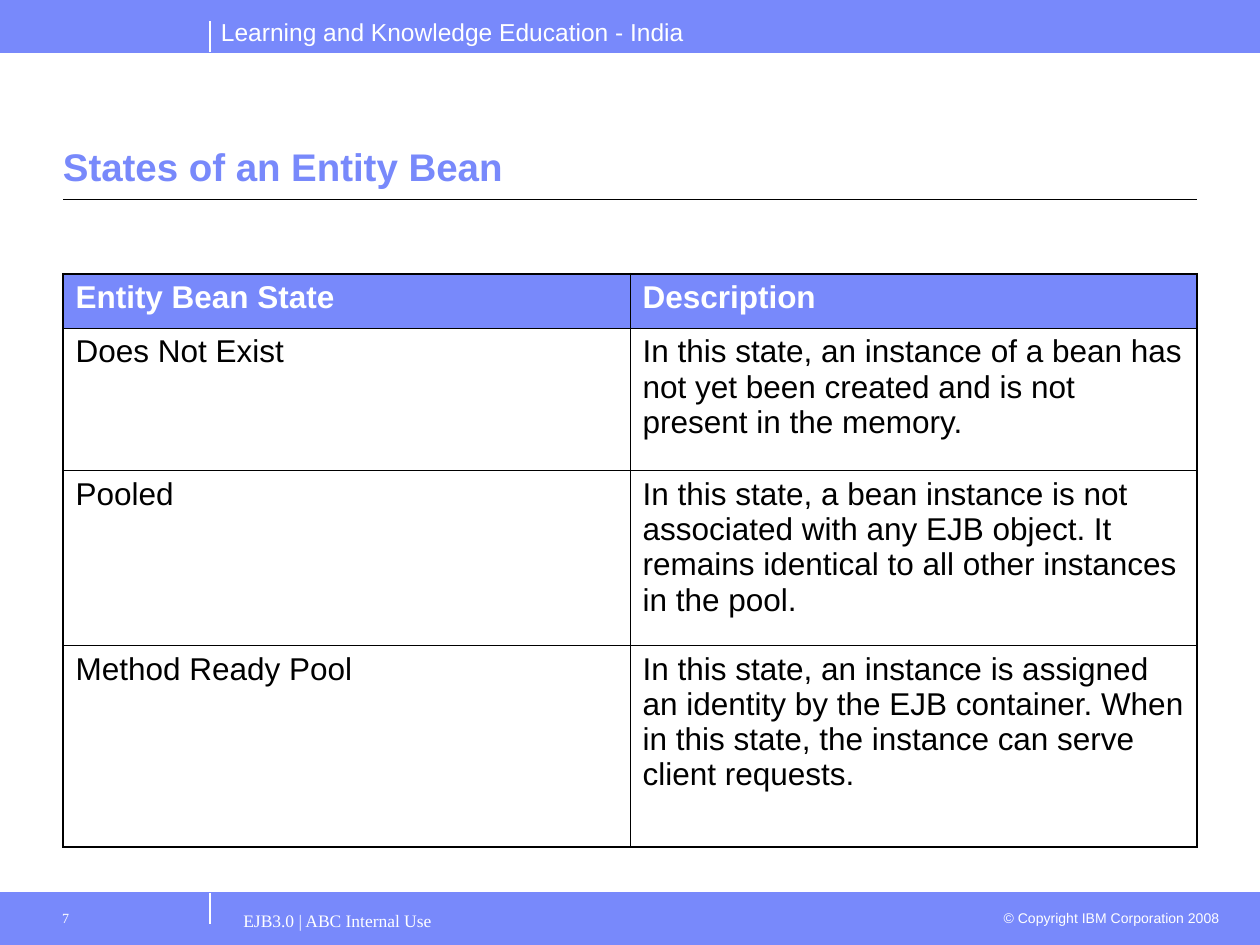
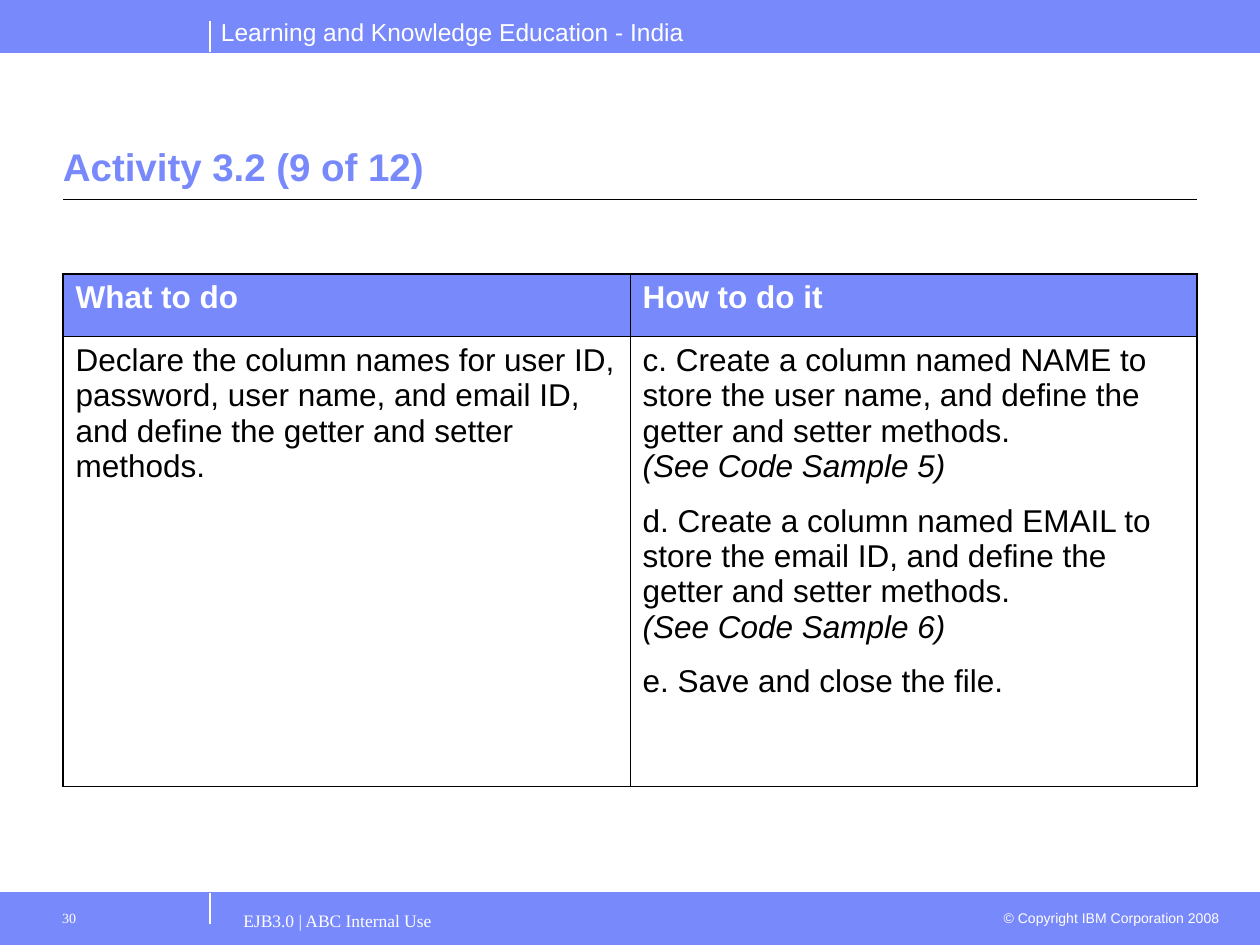
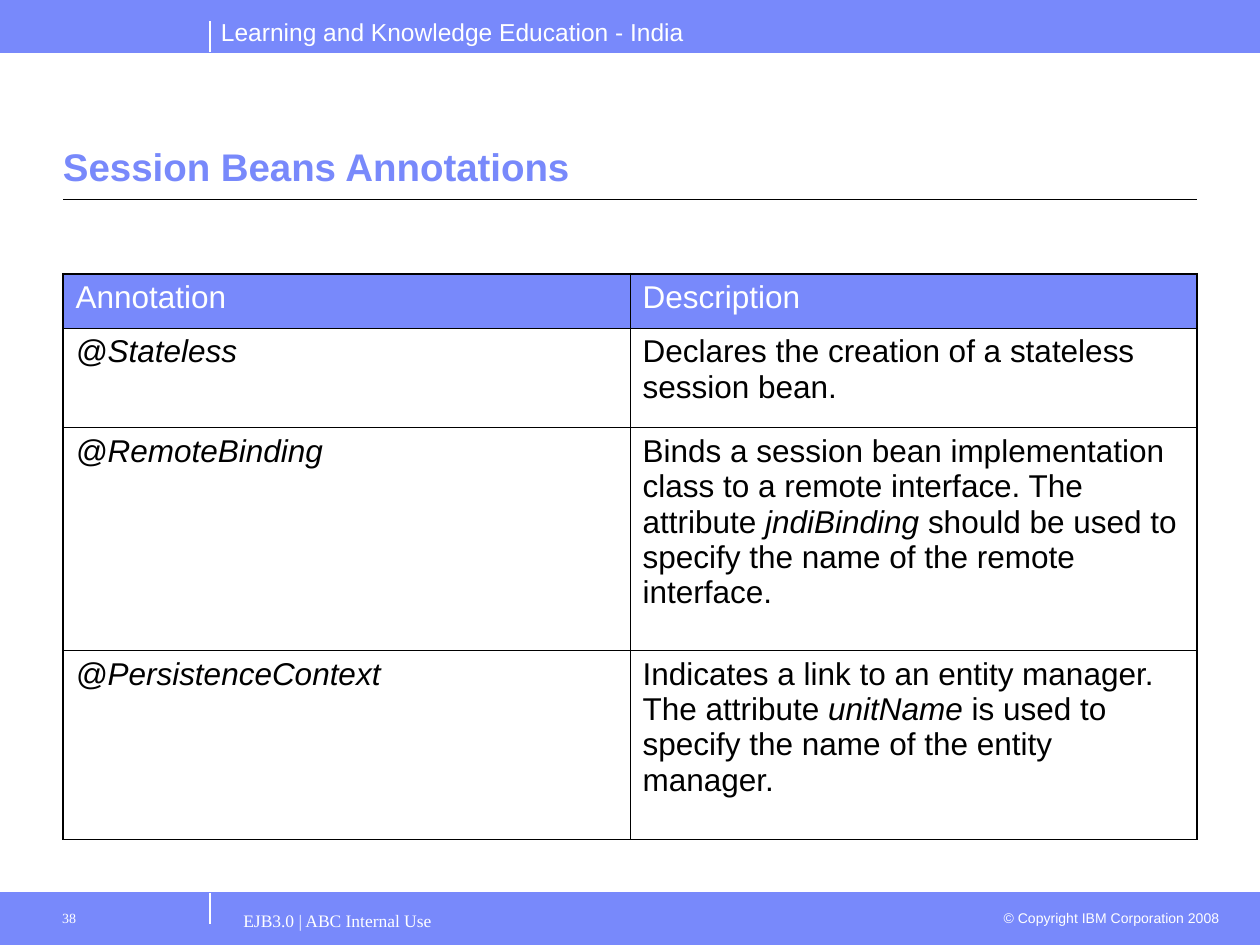
"""Build three training slides, each with a titled two-column table."""
from lxml import etree
from pptx import Presentation
from pptx.dml.color import RGBColor
from pptx.enum.shapes import MSO_CONNECTOR, MSO_SHAPE
from pptx.enum.text import MSO_ANCHOR, PP_ALIGN
from pptx.oxml import parse_xml
from pptx.oxml.ns import nsdecls, qn
from pptx.util import Pt

STRAIGHT = MSO_CONNECTOR.STRAIGHT
RECTANGLE = MSO_SHAPE.RECTANGLE
TOP, BOTTOM = MSO_ANCHOR.TOP, MSO_ANCHOR.BOTTOM
LEFT, RIGHT = PP_ALIGN.LEFT, PP_ALIGN.RIGHT

BLUE = RGBColor(0x78, 0x89, 0xFB)
WHITE = RGBColor(0xFF, 0xFF, 0xFF)
BLACK = RGBColor(0, 0, 0)
SANS, SERIF = "Arial", "Times New Roman"

HEADER = "Learning and Knowledge Education - India"
FOOTER = "EJB3.0 | ABC Internal Use"
COPYRIGHT = "© Copyright IBM Corporation 2008"

# Asterisks enclose italic text; a newline is a line break within a paragraph.
SLIDES = [
    {
        "number": 7,
        "title": "States of an Entity Bean",
        "bold_head": True,
        "heights": [31, 81.4, 100, 115.2],
        "rows": [
            (["Entity Bean State"], ["Description"]),
            (["Does Not Exist"],
             ["In this state, an instance of a bean has not yet been created "
              "and is not present in the memory."]),
            (["Pooled"],
             ["In this state, a bean instance is not associated with any EJB "
              "object. It remains identical to all other instances in the pool."]),
            (["Method Ready Pool"],
             ["In this state, an instance is assigned an identity by the EJB "
              "container. When in this state, the instance can serve client "
              "requests."]),
        ],
    },
    {
        "number": 30,
        "title": "Activity 3.2 (9 of 12)",
        "bold_head": True,
        "heights": [36, 257],
        "rows": [
            (["What to do"], ["How to do it"]),
            (["Declare the column names for user ID, password, user name, and "
              "email ID, and define the getter and setter methods."],
             ["c. Create a column named NAME to store the user name, and define "
              "the getter and setter methods.\n*(See Code Sample 5)*",
              "d. Create a column named EMAIL to store the email ID, and define "
              "the getter and setter methods.\n*(See Code Sample 6)*",
              "e. Save and close the file."]),
        ],
    },
    {
        "number": 38,
        "title": "Session Beans Annotations",
        "bold_head": False,
        "heights": [31, 57, 127.4, 108],
        "rows": [
            (["Annotation"], ["Description"]),
            (["*@Stateless*"],
             ["Declares the creation of a stateless session bean."]),
            (["*@RemoteBinding*"],
             ["Binds a session bean implementation class to a remote interface. "
              "The attribute *jndiBinding* should be used to specify the name of "
              "the remote interface."]),
            (["*@PersistenceContext*"],
             ["Indicates a link to an entity manager. The attribute *unitName* is "
              "used to specify the name of the entity manager."]),
        ],
    },
]

WIDTH, HEIGHT = 720, 540
BAND = 30
FOOT_TOP = HEIGHT - BAND
MARGIN = 36
TICK_X, TICK = 120, 18
RULE_Y = 114
TABLE_TOP = 156.4
COLUMN = (WIDTH - 2 * MARGIN) / 2
OUTER, INNER = 1.08, 0.45


def style(font, size, color, name=SANS, bold=False, italic=False):
    font.name, font.size, font.bold, font.italic = name, Pt(size), bold, italic
    font.color.rgb = color


def add_band(s, top):
    sp = s.shapes.add_shape(RECTANGLE, 0, Pt(top), Pt(WIDTH), Pt(BAND))
    sp.shadow.inherit = False
    sp.fill.solid()
    sp.fill.fore_color.rgb = BLUE
    sp.line.color.rgb = BLUE
    sp.line.width = Pt(0.75)


def add_line(s, x1, y1, x2, y2, color, width=0.75):
    line = s.shapes.add_connector(STRAIGHT, Pt(x1), Pt(y1), Pt(x2), Pt(y2))
    line.line.color.rgb = color
    line.line.width = Pt(width)
    etree.SubElement(line._element.spPr, qn("a:effectLst"))


def add_text(s, text, box, size, color=WHITE, name=SANS, bold=False, align=LEFT,
             anchor=TOP, insets=(7.2, 3.6, 7.2, 3.6)):
    tf = s.shapes.add_textbox(*map(Pt, box)).text_frame
    tf.margin_left, tf.margin_top, tf.margin_right, tf.margin_bottom = map(Pt, insets)
    tf.word_wrap = True
    tf.vertical_anchor = anchor
    tf.text = text
    p = tf.paragraphs[0]
    p.alignment = align
    style(p.runs[0].font, size, color, name, bold)


def add_frame(s, title, number):
    for top in (FOOT_TOP, 0):
        add_band(s, top)
    add_text(s, HEADER, (119.2, 6, 288, 24), 14)
    add_text(s, COPYRIGHT, (564, 516, 140, 17), 8, align=RIGHT)
    add_line(s, TICK_X, FOOT_TOP + TICK, TICK_X, FOOT_TOP, WHITE)
    for y in (BAND, FOOT_TOP):
        add_line(s, 0, y, WIDTH, y, BLUE, 0.5)
    add_line(s, MARGIN, RULE_Y, WIDTH - MARGIN, RULE_Y, BLACK)
    add_line(s, TICK_X, BAND, TICK_X, BAND - TICK, WHITE)
    add_text(s, title, (MARGIN, 45.5, WIDTH - 2 * MARGIN, 66), 22, BLUE, bold=True,
             anchor=BOTTOM, insets=(0, 3.6, 0, 3.6))
    add_text(s, FOOTER, (132, 515, 432, 25), 10, name=SERIF,
             insets=(7.2, 5, 7.2, 3.6))
    add_text(s, str(number), (24, 515, 96, 25), 8, name=SERIF,
             insets=(11.5, 5, 7.2, 3.6))


def set_borders(cell, edges):
    tcPr = cell._tc.get_or_add_tcPr()
    for side, is_outer in edges.items():
        width = Pt(OUTER if is_outer else INNER)
        tcPr.append(parse_xml(
            f'<a:ln{side} {nsdecls("a")} w="{width}"><a:solidFill>'
            f'<a:srgbClr val="{BLACK}"/></a:solidFill></a:ln{side}>'))


def fill_cell(cell, paragraphs, color, bold):
    tf = cell.text_frame
    for i, text in enumerate(paragraphs):
        p = tf.add_paragraph() if i else tf.paragraphs[0]
        p.space_after = Pt(11.2)
        for j, part in enumerate(text.split("*")):
            for k, piece in enumerate(part.split("\n")):
                if k:
                    p.add_line_break()
                if piece:
                    r = p.add_run()
                    r.text = piece
                    style(r.font, 18, color, bold=bold, italic=j % 2 == 1)


def add_grid(s, rows, heights, bold_head):
    table = s.shapes.add_table(len(rows), 2, Pt(MARGIN), Pt(TABLE_TOP),
                               Pt(2 * COLUMN), Pt(sum(heights))).table
    table.first_row = table.horz_banding = False
    for column in table.columns:
        column.width = Pt(COLUMN)
    for i, (row, height) in enumerate(zip(rows, heights)):
        table.rows[i].height = Pt(height)
        head = i == 0
        for j, paragraphs in enumerate(row):
            cell = table.cell(i, j)
            set_borders(cell, {"L": j == 0, "R": j == 1, "T": head,
                               "B": i == len(rows) - 1})
            if head:
                cell.fill.solid()
                cell.fill.fore_color.rgb = BLUE
            else:
                cell.fill.background()
            fill_cell(cell, paragraphs, WHITE if head else BLACK, head and bold_head)


def main():
    prs = Presentation()
    prs.slide_width, prs.slide_height = Pt(WIDTH), Pt(HEIGHT)
    for content in SLIDES:
        s = prs.slides.add_slide(prs.slide_layouts[6])
        add_frame(s, content["title"], content["number"])
        add_grid(s, content["rows"], content["heights"], content["bold_head"])
    prs.save("out.pptx")


if __name__ == "__main__":
    main()
